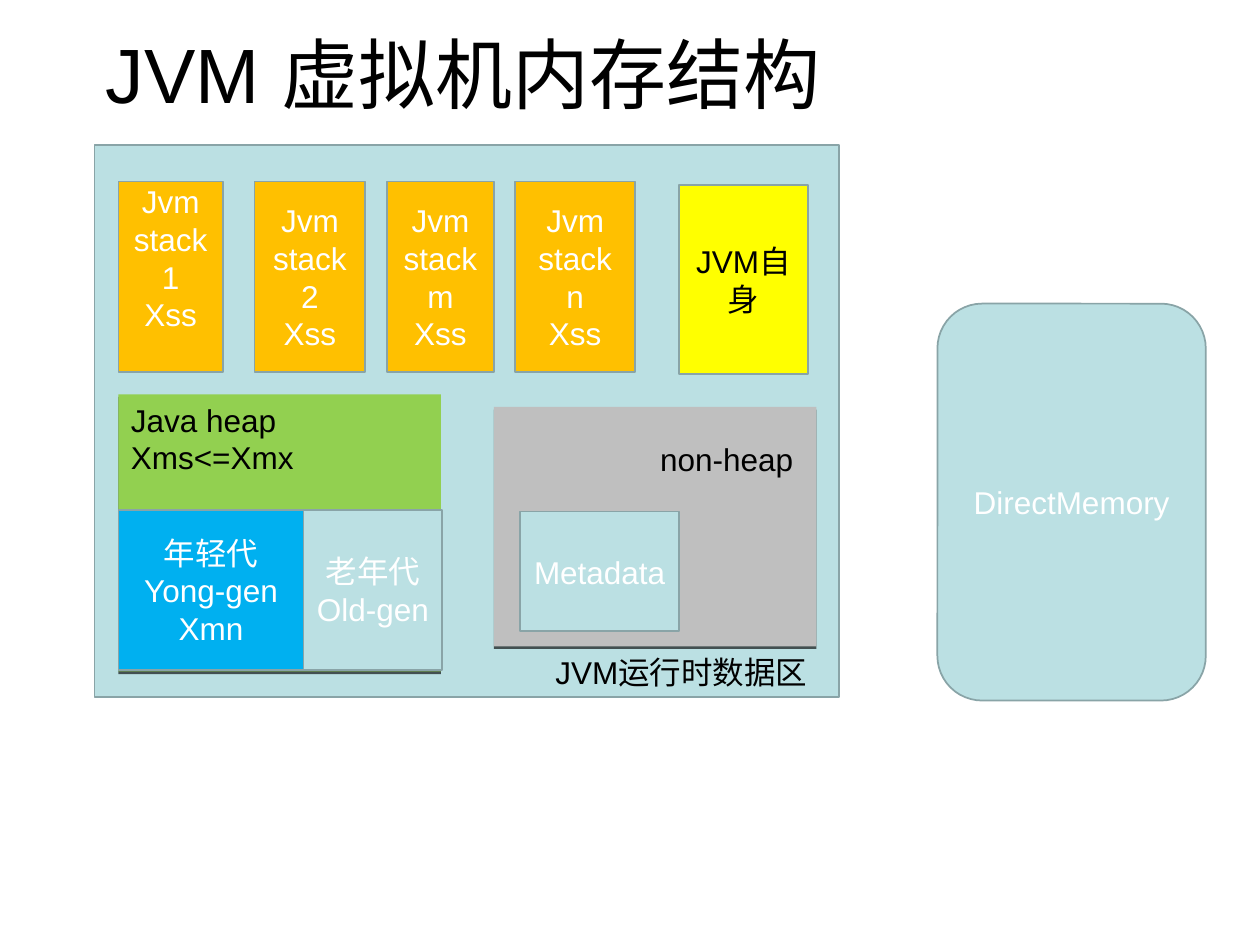
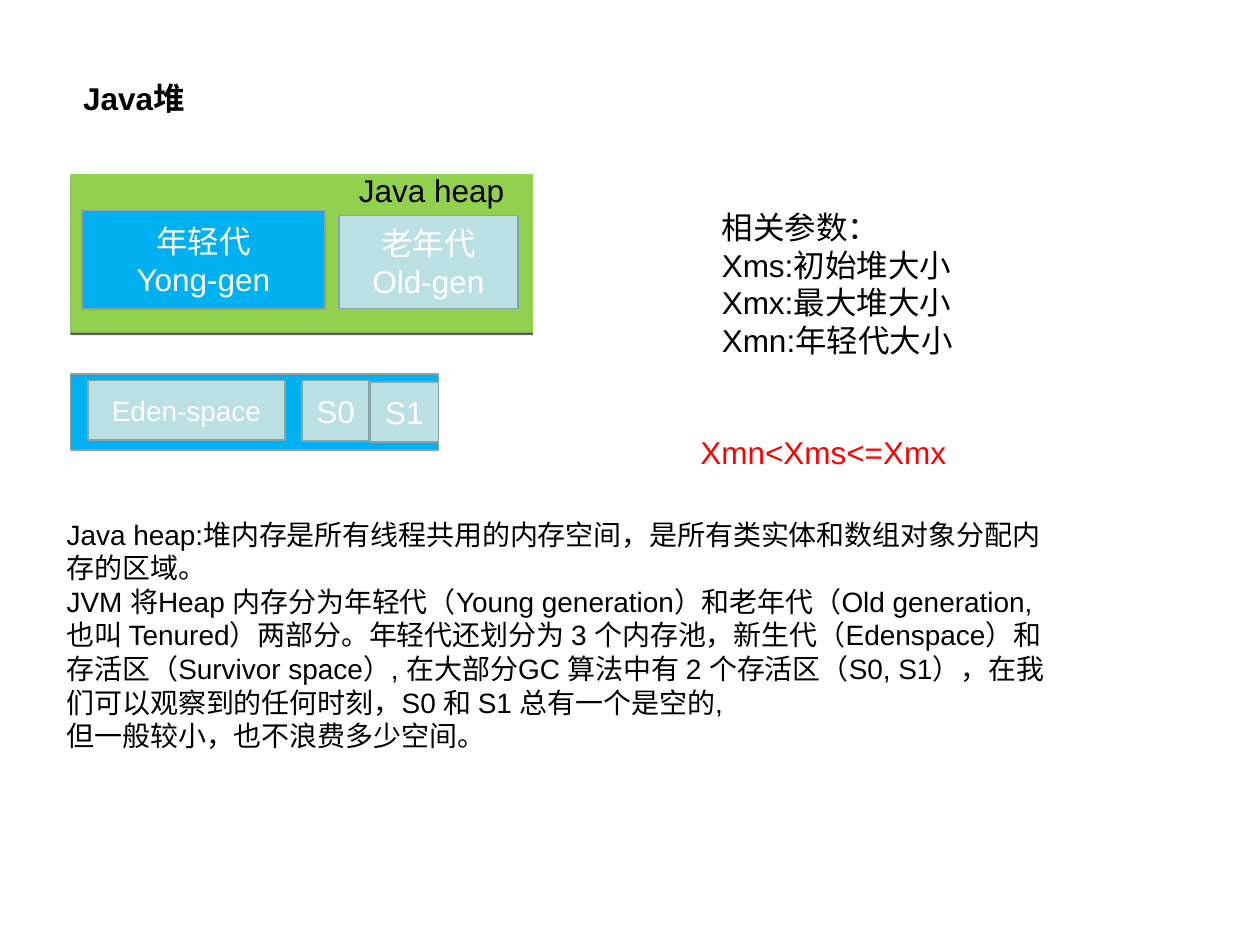
from lxml import etree
from pptx import Presentation
from pptx.dml.color import RGBColor
from pptx.enum.shapes import MSO_SHAPE
from pptx.enum.text import MSO_ANCHOR, PP_ALIGN
from pptx.util import Inches, Pt

RECT, ROUND = MSO_SHAPE.RECTANGLE, MSO_SHAPE.ROUNDED_RECTANGLE
LEFT, MID = PP_ALIGN.LEFT, PP_ALIGN.CENTER
TOP, CENTER, BOTTOM = MSO_ANCHOR.TOP, MSO_ANCHOR.MIDDLE, MSO_ANCHOR.BOTTOM

FONT = "Arial"
HUES = {
    "pale": "BBE0E3", "edge": "89A4A7", "green": "92D050", "gold": "FFC000",
    "yellow": "FFFF00", "blue": "00B0F0", "gray": "BFBFBF", "red": "FF0000",
    "white": "FFFFFF", "black": "000000",
}
HUES = {name: RGBColor.from_string(code) for name, code in HUES.items()}
SHADOW = (
    '<a:effectLst xmlns:a="http://schemas.openxmlformats.org/drawingml/2006/main">'
    '<a:outerShdw blurRad="0" dist="19050" dir="5400000" rotWithShape="0">'
    '<a:srgbClr val="000000"><a:alpha val="63000"/></a:srgbClr>'
    '</a:outerShdw></a:effectLst>'
)


def write(shape, at, text, hue="black", size=18, align=LEFT, anchor=TOP,
          bold=False, wrap=True):
    """Place a shape and fill it with one paragraph per line of text."""
    shape.left, shape.top, shape.width, shape.height = map(Inches, at)
    frame = shape.text_frame
    frame.text = text
    frame.word_wrap = wrap
    frame.vertical_anchor = anchor
    for para in frame.paragraphs:
        para.alignment = align
        font = para.font
        font.name, font.size, font.bold = FONT, Pt(size), bold
        font.color.rgb = HUES[hue]
    return frame


def block(slide, at, fill, text="", hue="white", size=18, kind=RECT, raised=False):
    """Draw a filled box: outlined, or raised on a hard shadow with no outline."""
    shape = slide.shapes.add_shape(kind, *map(Inches, at))
    shape.fill.solid()
    shape.fill.fore_color.rgb = HUES[fill]
    shape.shadow.inherit = False
    if raised:
        shape.line.fill.background()
        props = shape.fill._xPr
        props.remove(props.effectLst)
        props.append(etree.fromstring(SHADOW))
    else:
        shape.line.color.rgb = HUES["edge"]
        shape.line.width = Pt(1)
    return write(shape, at, text, hue, size, MID, CENTER)


deck = Presentation()
deck.slide_width, deck.slide_height = Inches(10), Inches(7.5)
plain = deck.slide_layouts[5]
young, old = "年轻代\nYong-gen", "老年代\nOld-gen"

# Memory layout
slide = deck.slides.add_slide(plain)
write(slide.shapes.title, (0.44, 0.18, 6.47, 0.79), "JVM 虚拟机内存结构",
      size=44, align=MID, anchor=CENTER)

block(slide, (0.75, 1.15, 5.91, 4.38), "pale")
block(slide, (0.94, 3.13, 2.56, 2.2), "green", raised=True)
block(slide, (3.92, 3.23, 2.56, 1.9), "gray", raised=True)

stacks = [
    (0.94, 0.83, "Jvm stack 1\nXss"),
    (2.02, 0.88, "Jvm stack 2\nXss"),
    (3.07, 0.85, "Jvm stack m\nXss"),
    (4.09, 0.95, "Jvm stack\nn\nXss"),
]
frames = [block(slide, (left, 1.44, width, 1.51), "gold", text)
          for left, width, text in stacks]
frames[0].margin_bottom = Inches(0.35)

for at, fill, text, hue, kind in [
    ((5.39, 1.47, 1.02, 1.5), "yellow", "JVM自身", "black", RECT),
    ((7.44, 2.41, 2.13, 3.15), "pale", "DirectMemory", "white", ROUND),
    ((0.94, 4.05, 1.47, 1.27), "blue", young + "\nXmn", "white", RECT),
    ((2.41, 4.05, 1.1, 1.27), "pale", old, "white", RECT),
    ((4.13, 4.06, 1.26, 0.95), "pale", "Metadata", "white", RECT),
]:
    block(slide, at, fill, text, hue, kind=kind)

for at, text, wrap in [
    ((4.31, 5.13, 2.26, 0.4), "JVM运行时数据区", False),
    ((0.94, 3.13, 2.56, 0.7), "Java heap\nXms<=Xmx", True),
    ((5.14, 3.44, 1.26, 0.4), "non-heap", True),
]:
    write(slide.shapes.add_textbox(0, 0, 0, 0), at, text, wrap=wrap)

# Java heap
slide = deck.slides.add_slide(plain)
write(slide.shapes.title, (0.56, 0.58, 1.01, 0.7), "Java堆", bold=True)

block(slide, (0.56, 1.38, 3.67, 1.26), "green", raised=True)
for at, fill, text, size in [
    ((0.65, 1.67, 1.93, 0.78), "blue", young, 18),
    ((2.69, 1.71, 1.42, 0.74), "pale", old, 18),
    ((0.56, 2.97, 2.92, 0.6), "blue", "", 18),
    ((0.7, 3.02, 1.56, 0.47), "pale", "Eden-space", 16),
    ((2.4, 3.02, 0.53, 0.48), "pale", "S0", 18),
    ((2.94, 3.03, 0.54, 0.48), "pale", "S1", 18),
]:
    block(slide, at, fill, text, size=size)

for at, text, hue, wrap in [
    ((2.75, 1.31, 1.36, 0.4), "Java heap", "black", True),
    ((5.63, 1.6, 2.09, 1.3),
     "相关参数：\nXms:初始堆大小\nXmx:最大堆大小\nXmn:年轻代大小", "black", False),
    ((5.46, 3.39, 2.15, 0.4), "Xmn<Xms<=Xmx", "red", False),
]:
    write(slide.shapes.add_textbox(0, 0, 0, 0), at, text, hue, wrap=wrap)

notes = (
    "Java heap:堆内存是所有线程共用的内存空间，是所有类实体和数组对象分配内存的区域。\n"
    "JVM 将Heap 内存分为年轻代（Young generation）和老年代（Old generation, "
    "也叫 Tenured）两部分。年轻代还划分为 3 个内存池，新生代（Edenspace）和存活区"
    "（Survivor space）, 在大部分GC 算法中有 2 个存活区（S0, S1），"
    "在我们可以观察到的任何时刻，S0 和 S1 总有一个是空的,\n"
    "但一般较小，也不浪费多少空间。"
)
write(slide.shapes.add_textbox(0, 0, 0, 0), (0.43, 4.38, 8.01, 1.64), notes,
      size=16, anchor=BOTTOM)

deck.save("out.pptx")
